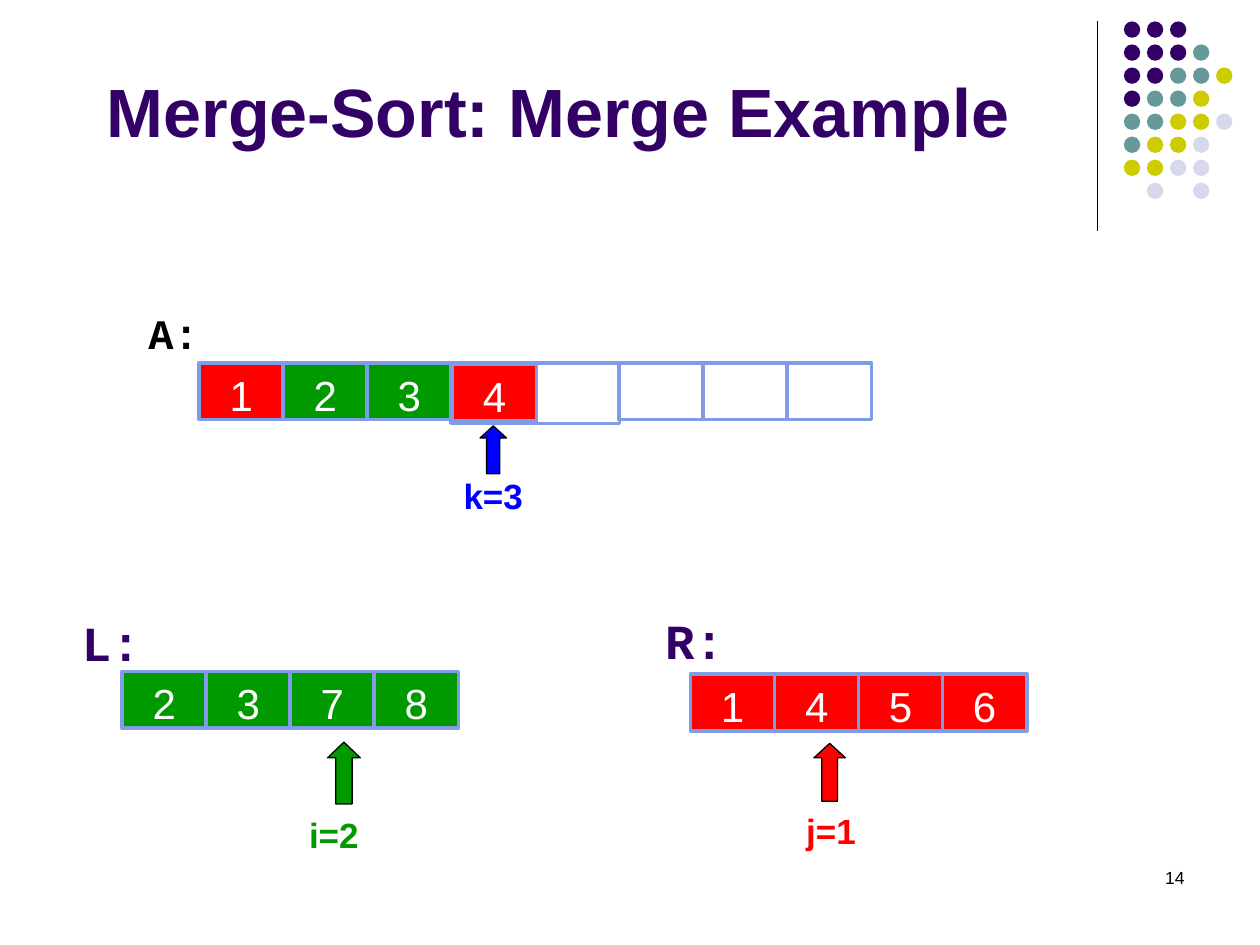
from lxml import etree
from pptx import Presentation
from pptx import util as u
from pptx.dml.color import RGBColor
from pptx.enum import shapes, text
from pptx.oxml.ns import qn

PITCH = 2 / 3
EDGE = "7E9CE8"
RED, GREEN, BLUE = "FF0000", "009900", "0000FF"
WHITE, BLACK, PLUM = "FFFFFF", "000000", "330066"
DOTS = ["PPP", "PPPT", "PPTTY", "PTTY", "TTYYG", "TYYG", "YYGG", " G G"]
TONES = {"P": PLUM, "T": "669999", "Y": "CCCC00", "G": "D8D8EC"}
MID = text.PP_ALIGN.CENTER
RIGHT = text.PP_ALIGN.RIGHT
TOP = text.MSO_ANCHOR.TOP
LOW = text.MSO_ANCHOR.BOTTOM


def tint(part, color):
    if hasattr(part, "solid"):
        part.solid()
        part.fore_color.rgb = RGBColor.from_string(color)
    else:
        part.color.rgb = RGBColor.from_string(color)


def write(shape, words, size, color, font="Arial", bold=False, align=None,
          anchor=LOW, side=0.1, base=0.05, wrap=False):
    frame = shape.text_frame
    frame.word_wrap = wrap
    frame.vertical_anchor = anchor
    frame.margin_left = frame.margin_right = u.Inches(side)
    frame.margin_top, frame.margin_bottom = u.Inches(0.05), u.Inches(base)
    para = frame.paragraphs[0]
    para.alignment = align
    run = para.add_run()
    run.text = words
    run.font.name, run.font.size, run.font.bold = font, u.Pt(size), bold
    tint(run.font, color)


def label(slide, box, words, size, color, **style):
    area = slide.shapes.add_textbox(*map(u.Inches, box))
    write(area, words, size, color, **style)


def solid(home, kind, box, fill, line=None, width=0.75):
    shape = home.shapes.add_shape(kind, *map(u.Inches, box))
    shape.shadow.inherit = False
    tint(shape.fill, fill)
    if line:
        tint(shape.line, line)
        shape.line.width = u.Pt(width)
    else:
        shape.line.fill.background()
    return shape


def cell(slide, left, top, fill, words="", high=0.45):
    box = (left, top, 0.67, high)
    shape = solid(slide, shapes.MSO_SHAPE.RECTANGLE, box, fill, EDGE, 2)
    if words:
        write(shape, words, 24, WHITE, align=MID, base=0, wrap=True)


def row(slide, left, top, items):
    for step, (words, fill, high) in enumerate(items):
        cell(slide, left + step * PITCH, top, fill, words, high)


def arrow(slide, box, fill, head):
    shape = solid(slide, shapes.MSO_SHAPE.UP_ARROW, box, fill, BLACK)
    shape.adjustments[0] = 0.5
    shape.adjustments[1] = head


def rule(slide):
    ends = map(u.Inches, (8.71, 0.17, 8.71, 1.83))
    line = slide.shapes.add_connector(shapes.MSO_CONNECTOR.STRAIGHT, *ends)
    tint(line.line, BLACK)
    line.line.width = u.Pt(0.75)
    etree.SubElement(line._element.spPr, qn("a:effectLst"))


def dots(slide):
    group = slide.shapes.add_group_shape()
    gap = 1.28 / 7
    for down, marks in enumerate(DOTS):
        for over, mark in enumerate(marks):
            if mark in TONES:
                box = (8.92 + over * gap, 0.17 + down * gap, 0.13, 0.13)
                solid(group, shapes.MSO_SHAPE.OVAL, box, TONES[mark])


def main():
    deck = Presentation()
    deck.slide_width, deck.slide_height = u.Inches(10), u.Inches(7.5)
    slide = deck.slides.add_slide(deck.slide_layouts[6])
    rule(slide)
    dots(slide)
    label(slide, (0.75, 0, 8.5, 1.25), "Merge-Sort: Merge Example", 39, PLUM,
          bold=True, wrap=True)

    merged = [("1", RED, 0.45), ("2", GREEN, 0.45), ("3", GREEN, 0.45)]
    spare = [("", WHITE, 0.48)] * 2 + [("", WHITE, 0.45)] * 3
    row(slide, 1.58, 2.88, merged + spare)
    cell(slide, 3.59, 2.89, RED, "4")
    row(slide, 0.97, 5.33, [(n, GREEN, 0.45) for n in "2378"])
    row(slide, 5.48, 5.35, [(n, RED, 0.45) for n in "1456"])

    for box, words, size, color, side in [
        ((1.08, 2.35, 0.69, 0.5), "A:", 24, BLACK, 0.1),
        ((0.65, 4.77, 0.47, 0.57), "L:", 28, PLUM, 0),
        ((5.28, 4.75, 0.47, 0.57), "R:", 28, PLUM, 0),
    ]:
        label(slide, box, words, size, color, font="Courier New", bold=True,
              side=side, base=0.01)

    for box, words, color, tip, head in [
        ((2.41, 6.39, 0.48, 0.44), "i=2", GREEN, (2.6, 5.89, 0.26, 0.49), 0.48),
        ((6.22, 6.36, 0.75, 0.44), "j=1", RED, (6.46, 5.9, 0.25, 0.46), 0.46),
        ((3.51, 3.7, 0.81, 0.44), "k=3", BLUE, (3.81, 3.38, 0.21, 0.38), 0.46),
    ]:
        label(slide, box, words, 20, color, bold=True, align=MID, side=0,
              base=0.04)
        arrow(slide, tip, color, head)

    label(slide, (7.17, 6.83, 2.33, 0.5), "14", 10, BLACK, align=RIGHT,
          anchor=TOP, wrap=True)
    deck.save("out.pptx")


if __name__ == "__main__":
    main()
